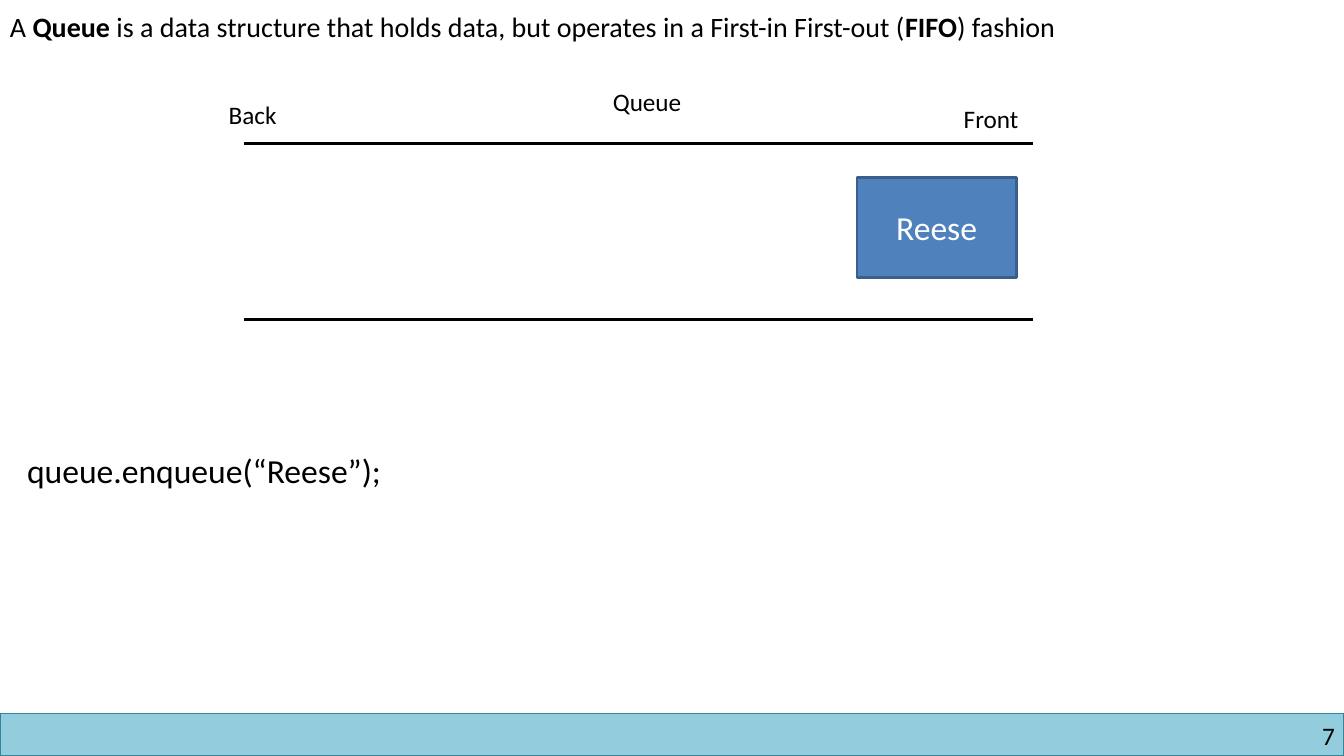
import pptx
import pptx.dml.color
import pptx.enum.shapes
import pptx.enum.text
import pptx.oxml.ns
import pptx.util
from lxml import etree
from pptx.util import Inches

COLORS = {
    "text": "000000",
    "light": "FFFFFF",
    "bar": "93CDDD",
    "bar_line": "31859C",
    "item": "4F81BD",
    "item_line": "3A5F8C",
}
ALIGN = pptx.enum.text.PP_ALIGN
ANCHOR = pptx.enum.text.MSO_ANCHOR


def rgb(name):
    """Return the named colour."""
    return pptx.dml.color.RGBColor.from_string(COLORS[name])


def write(sp, runs, size=18, color="text", align=ALIGN.LEFT, anchor=ANCHOR.TOP, inset=None):
    """Fill a shape with one paragraph of (text, bold) runs."""
    tf = sp.text_frame
    tf.word_wrap = True
    tf.vertical_anchor = anchor
    if inset is not None:
        tf.margin_left = tf.margin_right = tf.margin_top = tf.margin_bottom = Inches(inset)
    p = tf.paragraphs[0]
    p.alignment = align
    for text, bold in runs:
        r = p.add_run()
        r.text = text
        r.font.name = "Calibri"
        r.font.size = pptx.util.Pt(size)
        r.font.bold = bold
        r.font.color.rgb = rgb(color)


def add_text(s, x, y, w, h, runs, **fmt):
    """Add a text box holding formatted runs."""
    sp = s.shapes.add_textbox(Inches(x), Inches(y), Inches(w), Inches(h))
    write(sp, runs, **fmt)


def add_box(s, x, y, w, h, fill, line, weight):
    """Add a filled rectangle with an outline."""
    sp = s.shapes.add_shape(pptx.enum.shapes.MSO_SHAPE.RECTANGLE,
                            Inches(x), Inches(y), Inches(w), Inches(h))
    sp.shadow.inherit = False
    sp.fill.solid()
    sp.fill.fore_color.rgb = rgb(fill)
    sp.line.color.rgb = rgb(line)
    sp.line.width = pptx.util.Pt(weight)
    return sp


def add_rail(s, x1, x2, y):
    """Add a horizontal line bounding the queue."""
    line = s.shapes.add_connector(pptx.enum.shapes.MSO_CONNECTOR.STRAIGHT,
                                  Inches(x1), Inches(y), Inches(x2), Inches(y))
    line.line.color.rgb = rgb("text")
    line.line.width = pptx.util.Pt(2.25)
    etree.SubElement(line._element.spPr, pptx.oxml.ns.qn("a:effectLst"))


def main():
    """Build the queue slide."""
    prs = pptx.Presentation()
    prs.slide_width, prs.slide_height = Inches(13.33), Inches(7.5)
    s = prs.slides.add_slide(prs.slide_layouts[6])

    add_box(s, 0, 7.08, 13.33, 0.42, "bar", "bar_line", 1)
    add_text(s, 10.17, 7.15, 3.07, 0.3, [("7", False)], align=ALIGN.RIGHT, inset=0)

    add_text(s, 0, 0.05, 12.92, 0.44, [
        ("A ", False),
        ("Queue", True),
        (" is a data structure that holds data, but operates in a First-in First-out (", False),
        ("FIFO", True),
        (") fashion", False),
    ], size=20)

    for y in (1.42, 3.17):
        add_rail(s, 2.42, 10.25, y)
    for label, x, y, w in (("Queue", 5.98, 0.81, 0.96),
                           ("Front", 9.46, 0.98, 0.79),
                           ("Back", 2.17, 0.94, 0.76)):
        add_text(s, x, y, w, 0.4, [(label, False)])

    add_text(s, 0.17, 4.41, 4.06, 0.5, [("queue.enqueue(“Reese”);", False)], size=24)
    item = add_box(s, 8.5, 1.76, 1.58, 0.99, "item", "item_line", 2)
    write(item, [("Reese", False)], size=24, color="light",
          align=ALIGN.CENTER, anchor=ANCHOR.MIDDLE)

    prs.save("out.pptx")


if __name__ == "__main__":
    main()
